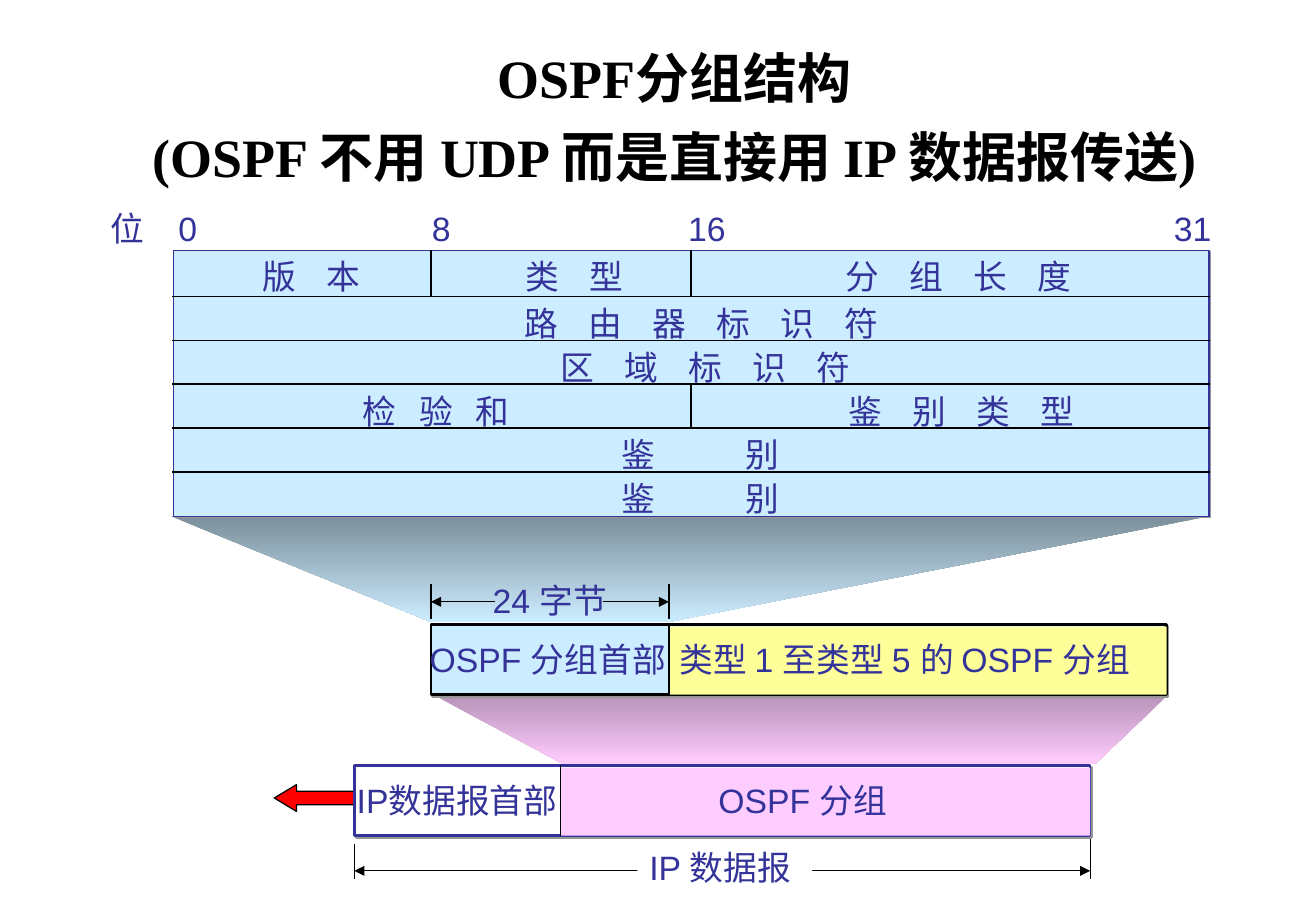
import pptx
import pptx.dml.color
import pptx.enum.shapes
import pptx.enum.text
import pptx.oxml
import pptx.oxml.ns
import pptx.util

Inches = pptx.util.Inches
Pt = pptx.util.Pt
PRESET = pptx.enum.shapes.MSO_SHAPE

COLORS = {
    "black": "000000", "white": "FFFFFF", "navy": "333399", "red": "FF0000",
    "blue": "CCECFF", "slate": "7C8F9B", "yellow": "FFFF99",
    "pink": "FFCCFF", "mauve": "B994B9", "shadow": "969696",
}
SPACE_WIDTH = 4.48  # points, between Chinese characters at 20 pt
ROW_HEIGHT = 0.58

# row, left and width within the header, text, spaces' worth of gap
HEADER_FIELDS = [
    (0, 0.63, 1.15, "版 本", 4),
    (0, 2.8, 1.15, "类 型", 4),
    (0, 5.44, 2.2, "分 组 长 度", 4),
    (1, 2.79, 3.3, "路 由 器 标 识 符", 4),
    (2, 3.09, 2.75, "区 域 标 识 符", 4),
    (3, 1.46, 1.55, "检 验 和", 3),
    (3, 5.46, 2.2, "鉴 别 类 型", 4),
    (4, 3.59, 1.65, "鉴 别", 12),
    (5, 3.59, 1.65, "鉴 别", 12),
]
BIT_MARKS = [(-0.62, 0.48, "位"), (-0.06, 0.35, "0"), (2.03, 0.35, "8"),
             (4.14, 0.51, "16"), (8.14, 0.51, "31")]


def rgb(name):
    return pptx.dml.color.RGBColor.from_string(COLORS[name])


def xml(markup):
    """Parse an element, declaring the drawing namespace at its first space."""
    return pptx.oxml.parse_xml(
        markup.replace(" ", f' {pptx.oxml.ns.nsdecls("a")} ', 1))


def add_block(slide, box, fill, line=None, weight=0.75, shadow=False,
              preset=PRESET.RECTANGLE):
    block = slide.shapes.add_shape(preset, *map(Inches, box))
    block.shadow.inherit = False
    block.fill.solid()
    block.fill.fore_color.rgb = rgb(fill)
    if line:
        block.line.color.rgb = rgb(line)
        block.line.width = Pt(weight)
    else:
        block.line.fill.background()
    if shadow:
        effects = block._element.spPr.find(pptx.oxml.ns.qn("a:effectLst"))
        effects.append(xml(
            f'<a:outerShdw dist="{Pt(1.4)}" dir="2700000" algn="ctr" rotWithShape="0">'
            f'<a:srgbClr val="{COLORS["shadow"]}"/></a:outerShdw>'))
    return block


def add_rule(slide, start, end, weight=0.75, heads=()):
    """Draw a black line; heads may hold "headEnd" (start) and "tailEnd" (end)."""
    rule = slide.shapes.add_connector(
        pptx.enum.shapes.MSO_CONNECTOR.STRAIGHT, *map(Inches, (*start, *end)))
    rule.line.color.rgb = rgb("black")
    rule.line.width = Pt(weight)
    for head in heads:
        rule.line._get_or_add_ln().append(xml(f'<a:{head} type="triangle"/>'))
    rule._element.spPr.append(xml("<a:effectLst />"))


def add_label(slide, left, top, width, text, gap=1, fill=None):
    """Place a one-line label; gap widens its word spaces to that many spaces."""
    label = slide.shapes.add_textbox(*map(Inches, (left, top, width, 0.44)))
    if fill:
        label.fill.solid()
        label.fill.fore_color.rgb = rgb(fill)
    frame = label.text_frame
    frame.word_wrap = False
    frame.auto_size = pptx.enum.text.MSO_AUTO_SIZE.SHAPE_TO_FIT_TEXT
    words = frame.paragraphs[0]
    if gap > 1:
        spread = words.add_run()
        spread.text = text[:-1]
        tracking = round((gap - 1) * SPACE_WIDTH / 2 * 100)
        spread._r.get_or_add_rPr().set("spc", str(tracking))
        words.add_run().text = text[-1]
    else:
        words.add_run().text = text
    words.font.name = "Arial"
    words.font.size = Pt(20)
    words.font.color.rgb = rgb("navy")


def add_heading(slide, box):
    heading = slide.shapes.title
    heading.left, heading.top, heading.width, heading.height = map(Inches, box)
    frame = heading.text_frame
    frame.text = "OSPF分组结构\n(OSPF 不用 UDP 而是直接用 IP 数据报传送)"
    frame.word_wrap = True
    frame.auto_size = pptx.enum.text.MSO_AUTO_SIZE.NONE
    frame.vertical_anchor = pptx.enum.text.MSO_ANCHOR.TOP
    for number, line in enumerate(frame.paragraphs):
        line.alignment = pptx.enum.text.PP_ALIGN.CENTER
        line.space_before = Pt(8 if number else 0)
        line.font.name = "Times New Roman"
        line.font.size = Pt(32)
        line.font.bold = True
        line.font.color.rgb = rgb("black")


def add_projection(slide, corners, top_color, bottom_color):
    """Draw the shaded funnel that joins a packet part to its detail above."""
    points = [(Inches(x), Inches(y)) for x, y in corners]
    builder = slide.shapes.build_freeform(*points[0])
    builder.add_line_segments(points[1:], close=True)
    funnel = builder.convert_to_shape()
    funnel.shadow.inherit = False
    funnel.line.fill.background()
    funnel.fill.gradient()
    funnel.fill.gradient_angle = 270
    for stop, position, color in zip(funnel.fill.gradient_stops, (0, 1),
                                     (top_color, bottom_color)):
        stop.position = position
        stop.color.rgb = rgb(color)


def add_packet(slide, box, split, head_fill, body_fill, line, labels):
    """Draw a packet row; split is the head's width, labels are (offset, width, text)."""
    left, top, width, height = box
    add_block(slide, box, head_fill, line, 1.5, shadow=True)
    add_block(slide, (left + split, top + 0.02, width - split, height - 0.02),
              body_fill)
    add_rule(slide, (left + split, top), (left + split, top + height))
    for offset, label_width, text in labels:
        add_label(slide, left + offset, top + 0.07, label_width, text)


def add_header(slide, box):
    left, top, width, height = box
    row_tops = [top] + [top + 0.38 + 0.362 * row for row in range(5)]
    add_block(slide, box, "blue", "navy", shadow=True)
    for y in row_tops[1:]:
        add_rule(slide, (left - 0.01, y), (left + width + 0.01, y), 1)
    for row, offset in ((0, 2.12), (0, 4.26), (3, 4.26)):
        add_rule(slide, (left + offset, row_tops[row]),
                 (left + offset, row_tops[row + 1]), 1)
    for offset, mark_width, mark in BIT_MARKS:
        add_label(slide, left + offset, top - 0.4, mark_width, mark)
    for row, offset, field_width, field, gap in HEADER_FIELDS:
        add_label(slide, left + offset, row_tops[row], field_width, field, gap)


def add_header_length(slide, box):
    left, top, width, height = box
    right, middle = left + width, top + height / 2
    for x in (left, right):
        add_rule(slide, (x, top), (x, top + height))
    add_rule(slide, (left + 0.53, middle), (left, middle), heads=["tailEnd"])
    add_rule(slide, (right - 0.54, middle), (right, middle), heads=["tailEnd"])
    add_label(slide, left + 0.41, top - 0.09, 1.21, "24 字节")


def add_datagram_length(slide, box):
    left, top, width, height = box
    right, middle = left + width, top + 0.22
    add_rule(slide, (left, middle), (right, middle), heads=["headEnd", "tailEnd"])
    add_label(slide, left + 2.33, top - 0.03, 1.44, "IP 数据报", fill="white")
    add_rule(slide, (left, top), (left, top + height))
    add_rule(slide, (right, top - 0.07), (right, top + height))


def main():
    deck = pptx.Presentation()
    deck.slide_width, deck.slide_height = Inches(10.84), Inches(7.5)
    slide = deck.slides.add_slide(deck.slide_layouts[5])
    add_heading(slide, (0.58, 0.32, 9.95, 1.6))
    arrow = add_block(slide, (2.26, 6.46, 0.74, 0.22), "red", "black",
                      preset=PRESET.LEFT_ARROW)
    arrow.adjustments[1] = 0.83
    add_datagram_length(slide, (2.92, 6.95, 6.06, 0.29))
    add_projection(slide, [(1.41, 4.25), (9.96, 4.25), (5.51, 5.12), (3.55, 5.12)],
                   "slate", "blue")
    add_projection(slide, [(3.59, 5.73), (9.61, 5.73), (9.02, 6.29), (4.64, 6.29)],
                   "mauve", "pink")
    add_packet(slide, (2.92, 6.3, 6.06, ROW_HEIGHT), 1.7, "white", "pink", "navy",
               [(-0.08, 2.0, "IP数据报首部"), (2.9, 1.66, "OSPF 分组")])
    add_packet(slide, (3.55, 5.14, 6.06, ROW_HEIGHT), 1.96, "blue", "yellow", "black",
               [(-0.11, 2.35, "OSPF 分组首部"),
                (1.95, 4.4, "类型 1 至类型 5 的 OSPF 分组")])
    add_header_length(slide, (3.55, 4.81, 1.96, 0.29))
    add_header(slide, (1.43, 2.06, 8.53, 2.19))
    deck.save("out.pptx")


if __name__ == "__main__":
    main()
